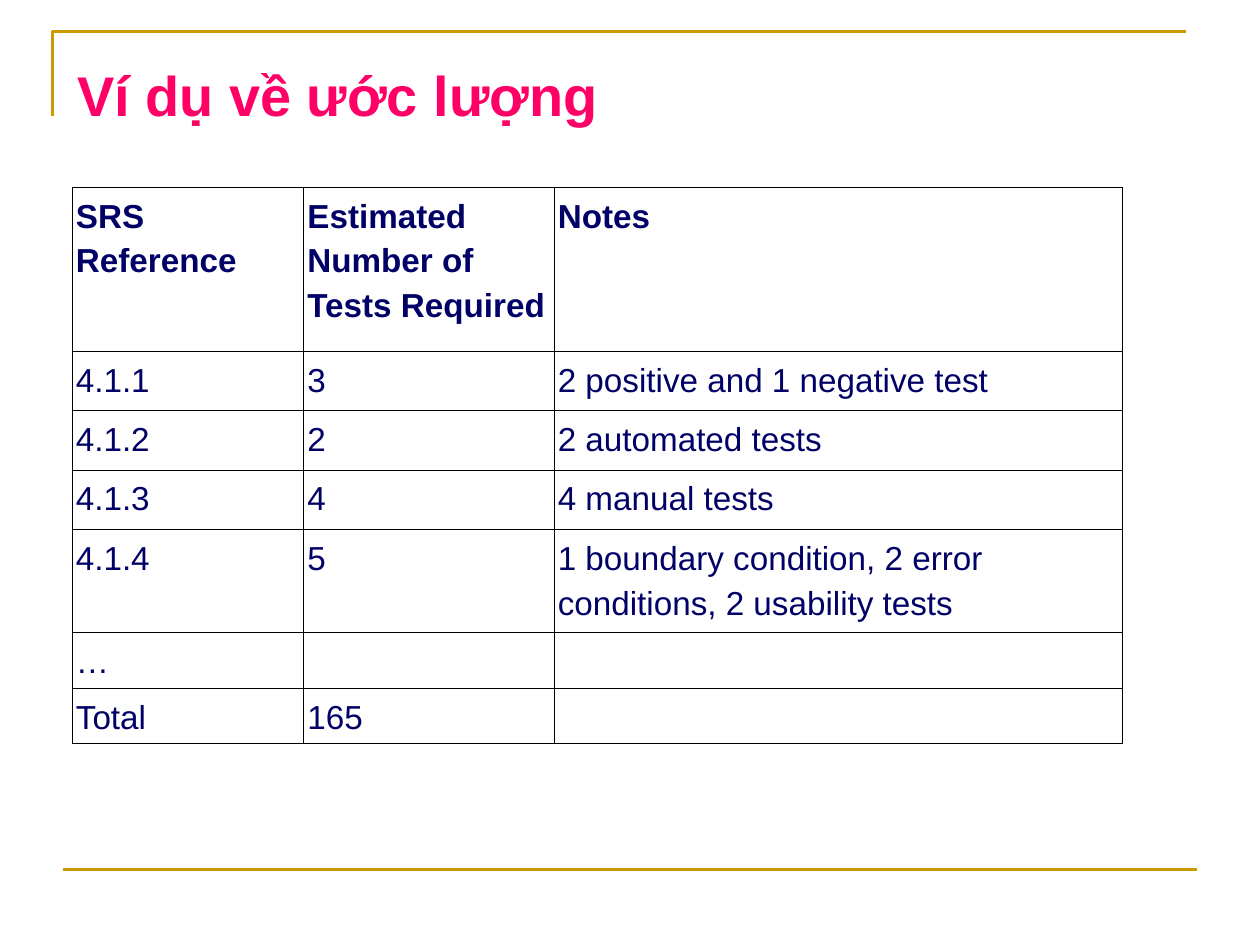
from pptx import Presentation
from pptx.dml.color import RGBColor
from pptx.enum import shapes, text
from pptx.oxml import parse_xml
from pptx.oxml import ns
from pptx.util import Pt

theme = {
    "font": "Arial",
    "gold": RGBColor.from_string("CC9900"),
    "pink": RGBColor.from_string("FF0066"),
    "navy": RGBColor.from_string("000066"),
    "white": RGBColor.from_string("FFFFFF"),
    "grid": "000000",
    "title": 35.5,
    "body": 21.1,
    "rule": 1.5,
    "edge": 0.75,
}


def style(frame, size, color, bold):
    for para in frame.paragraphs:
        para.line_spacing = 1.2
        para.alignment = text.PP_ALIGN.LEFT
        for run in para.runs:
            run.font.name = theme["font"]
            run.font.size = Pt(size)
            run.font.color.rgb = color
            run.font.bold = bold


def inset(box, gap):
    box.margin_left = box.margin_right = Pt(gap)
    box.margin_top = box.margin_bottom = Pt(gap)


deck = Presentation()
deck.slide_width = Pt(800)
deck.slide_height = Pt(600)
slide = deck.slides.add_slide(deck.slide_layouts[6])

path = slide.shapes.build_freeform(Pt(33.3), Pt(73.5))
path.add_line_segments([(Pt(33.3), Pt(20)), (Pt(753.3), Pt(20))], close=False)
frame = path.convert_to_shape()
frame.shadow.inherit = False
frame.fill.background()
frame.line.color.rgb = theme["gold"]
frame.line.width = Pt(theme["rule"])

foot = slide.shapes.add_connector(
    shapes.MSO_CONNECTOR.STRAIGHT, Pt(40), Pt(552), Pt(760), Pt(552))
foot.line.color.rgb = theme["gold"]
foot.line.width = Pt(theme["rule"])
foot._element.spPr.append(parse_xml(f'<a:effectLst {ns.nsdecls("a")}/>'))

title = slide.shapes.add_textbox(Pt(46), Pt(15), Pt(610), Pt(80.5)).text_frame
title.word_wrap = True
title.vertical_anchor = text.MSO_ANCHOR.MIDDLE
inset(title, 3)
title.text = "Ví dụ về ước lượng"
style(title, theme["title"], theme["pink"], True)

rows = [
    ("SRS Reference", "Estimated Number of Tests Required", "Notes"),
    ("4.1.1", "3", "2 positive and 1 negative test"),
    ("4.1.2", "2", "2 automated tests"),
    ("4.1.3", "4", "4 manual tests"),
    ("4.1.4", "5", "1 boundary condition, 2 error conditions, 2 usability tests"),
    ("…", "", ""),
    ("Total", "165", ""),
]
widths = [147, 159, 361]
heights = [104, 37.5, 38, 38, 60.5, 35.5, 35]

table = slide.shapes.add_table(
    len(rows), len(widths), Pt(46), Pt(119),
    Pt(sum(widths)), Pt(sum(heights))).table
table.first_row = False
table.horz_banding = False
for col, width in zip(table.columns, widths):
    col.width = Pt(width)
for row, height in zip(table.rows, heights):
    row.height = Pt(height)

for r, row in enumerate(rows):
    for c, words in enumerate(row):
        cell = table.cell(r, c)
        inset(cell, 2.2)
        cell.fill.solid()
        cell.fill.fore_color.rgb = theme["white"]
        cell.text_frame.text = words
        style(cell.text_frame, theme["body"], theme["navy"], r == 0)
        props = cell._tc.get_or_add_tcPr()
        for n, side in enumerate("LRTB"):
            props.insert(n, parse_xml(
                f'<a:ln{side} {ns.nsdecls("a")} w="{Pt(theme["edge"])}">'
                f'<a:solidFill><a:srgbClr val="{theme["grid"]}"/></a:solidFill>'
                f'</a:ln{side}>'))

deck.save("out.pptx")
